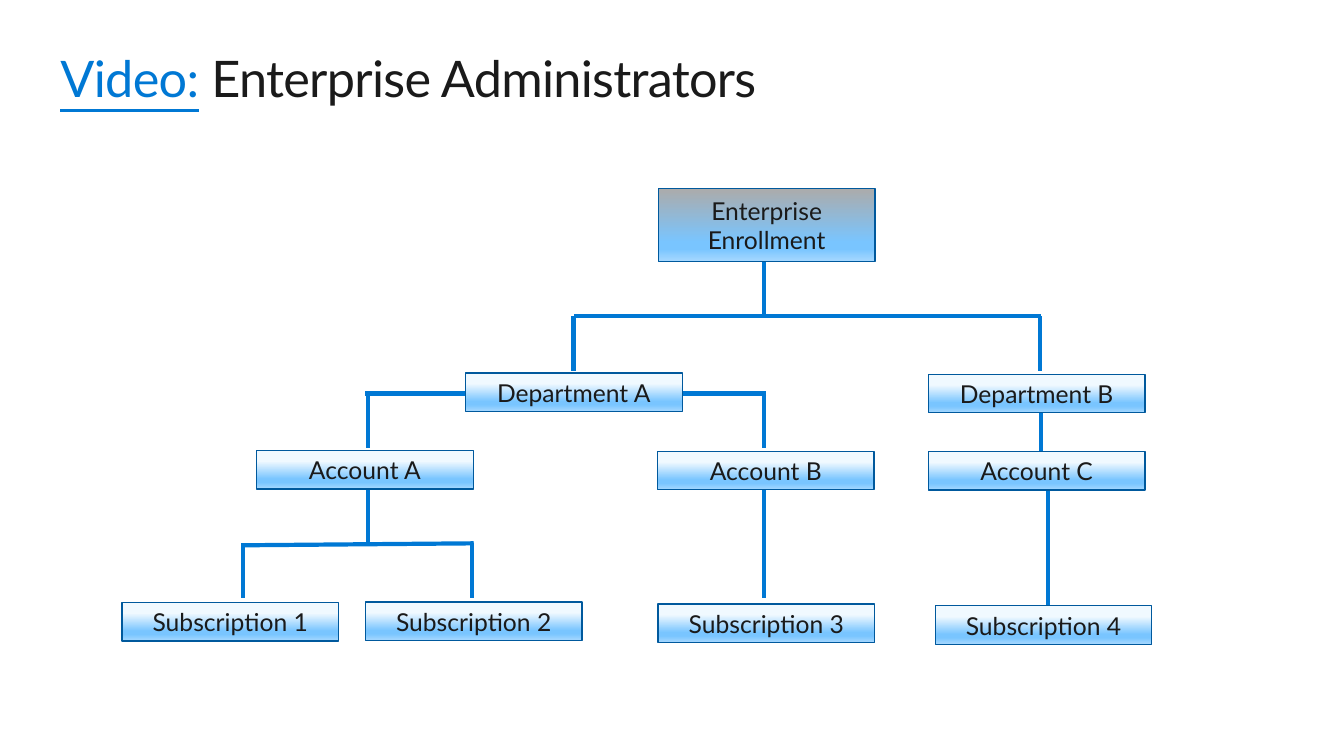
from lxml import etree
from pptx import Presentation
from pptx.dml.color import RGBColor
from pptx.enum.shapes import MSO_CONNECTOR, MSO_SHAPE
from pptx.enum.text import MSO_ANCHOR, MSO_AUTO_SIZE, PP_ALIGN
from pptx.oxml.ns import qn
from pptx.util import Pt

RECT = MSO_SHAPE.RECTANGLE
STRAIGHT = MSO_CONNECTOR.STRAIGHT
TOP, MIDDLE = MSO_ANCHOR.TOP, MSO_ANCHOR.MIDDLE
LEFT, CENTER = PP_ALIGN.LEFT, PP_ALIGN.CENTER
GROW = MSO_AUTO_SIZE.SHAPE_TO_FIT_TEXT

BLUE = RGBColor(0x00, 0x78, 0xD4)
NAVY = RGBColor(0x00, 0x59, 0x9D)
INK = RGBColor(0x1A, 0x1A, 0x1A)
GRAY = RGBColor(0xAB, 0xAB, 0xAB)
PALE = RGBColor(0xF0, 0xF9, 0xFF)
SKY = RGBColor(0x79, 0xC5, 0xFF)
LIGHT = RGBColor(0xA6, 0xD8, 0xFF)

FONT = "Lato"
WIDTH, HEIGHT = 154.8, 27.5
FADE = [(74, SKY), (83, SKY), (100, LIGHT)]
ROOT_FADE = [(0, GRAY)] + FADE
NODE_FADE = [(28, PALE)] + FADE

# Left and top of each node, in points
NODES = [
    ("Department A", 332.5, 266.4),
    ("Department B", 663.1, 267.4),
    ("Account A", 183.3, 321.8),
    ("Account B", 469.6, 322.4),
    ("Account C", 663.1, 322.6),
    ("Subscription 1", 87.1, 430.4),
    ("Subscription 2", 261, 430),
    ("Subscription 3", 470, 431.5),
    ("Subscription 4", 668, 432.8),
]

# Start x, y and end x, y of each link, in points
LINKS = [
    # Enrollment to departments
    (545.8, 186.8, 545.8, 226),
    (743.8, 226, 409.7, 226),
    (743, 226, 743, 265),
    (409.7, 226, 409.7, 265),
    # Departments to accounts
    (547.2, 281, 260.6, 281),
    (545.8, 281, 545.8, 320.2),
    (262.8, 281, 262.8, 320.2),
    (743.4, 293.8, 743.4, 332.6),
    # Accounts to subscriptions
    (262.8, 349.2, 262.8, 388.1),
    (338.4, 388.1, 175, 389.5),
    (337, 388.1, 337, 427),
    (173.5, 388.1, 173.5, 427),
    (545.8, 348.5, 545.8, 427),
    (748.4, 350, 748.4, 442.8),
]


def set_font(font, size, color):
    font.name = FONT
    font.size = Pt(size)
    font.color.rgb = color


def fade(shape, stops):
    """Fill a shape from top to bottom with the given colour stops."""
    shape.fill.gradient()
    shape.fill.gradient_angle = 270
    group = next(shape._element.spPr.iter(qn("a:gsLst")))
    for old in list(group):
        group.remove(old)
    for place, color in stops:
        stop = etree.SubElement(group, qn("a:gs"), pos=str(place * 1000))
        etree.SubElement(stop, qn("a:srgbClr"), val=str(color))


def add_node(slide, text, left, top, height=HEIGHT, stops=NODE_FADE):
    node = slide.shapes.add_shape(
        RECT, Pt(left), Pt(top), Pt(WIDTH), Pt(height))
    node.shadow.inherit = False
    fade(node, stops)
    node.line.color.rgb = NAVY
    node.line.width = Pt(0.85)
    frame = node.text_frame
    frame.word_wrap = True
    frame.vertical_anchor = MIDDLE
    para = frame.paragraphs[0]
    para.text = text
    para.alignment = CENTER
    set_font(para.font, 17.6, INK)


def add_link(slide, *ends):
    link = slide.shapes.add_connector(STRAIGHT, *map(Pt, ends))
    link.line.color.rgb = BLUE
    link.line.width = Pt(3)
    etree.SubElement(link._element.spPr, qn("a:effectLst"))


def add_title(slide, lead, rest):
    title = slide.shapes.title
    title.left, title.top = Pt(43.2), Pt(33.8)
    title.width, title.height = Pt(867.6), Pt(43.9)
    frame = title.text_frame
    frame.margin_left = frame.margin_right = 0
    frame.margin_top = frame.margin_bottom = 0
    frame.word_wrap = True
    frame.auto_size = GROW
    frame.vertical_anchor = TOP
    para = frame.paragraphs[0]
    para.alignment = LEFT
    for text, color, under in ((lead, BLUE, True), (rest, INK, False)):
        run = para.add_run()
        run.text = text
        set_font(run.font, 36, color)
        run.font.underline = under
        run._r.get_or_add_rPr().set("spc", "-50")


def main():
    deck = Presentation()
    deck.slide_width, deck.slide_height = Pt(960), Pt(540)
    slide = deck.slides.add_slide(deck.slide_layouts[5])
    add_title(slide, "Video:", " Enterprise Administrators")

    # Links lie behind the nodes
    for link in LINKS:
        add_link(slide, *link)
    add_node(slide, "Enterprise Enrollment", 470.2, 134.8, 52, ROOT_FADE)
    for node in NODES:
        add_node(slide, *node)
    deck.save("out.pptx")


if __name__ == "__main__":
    main()
